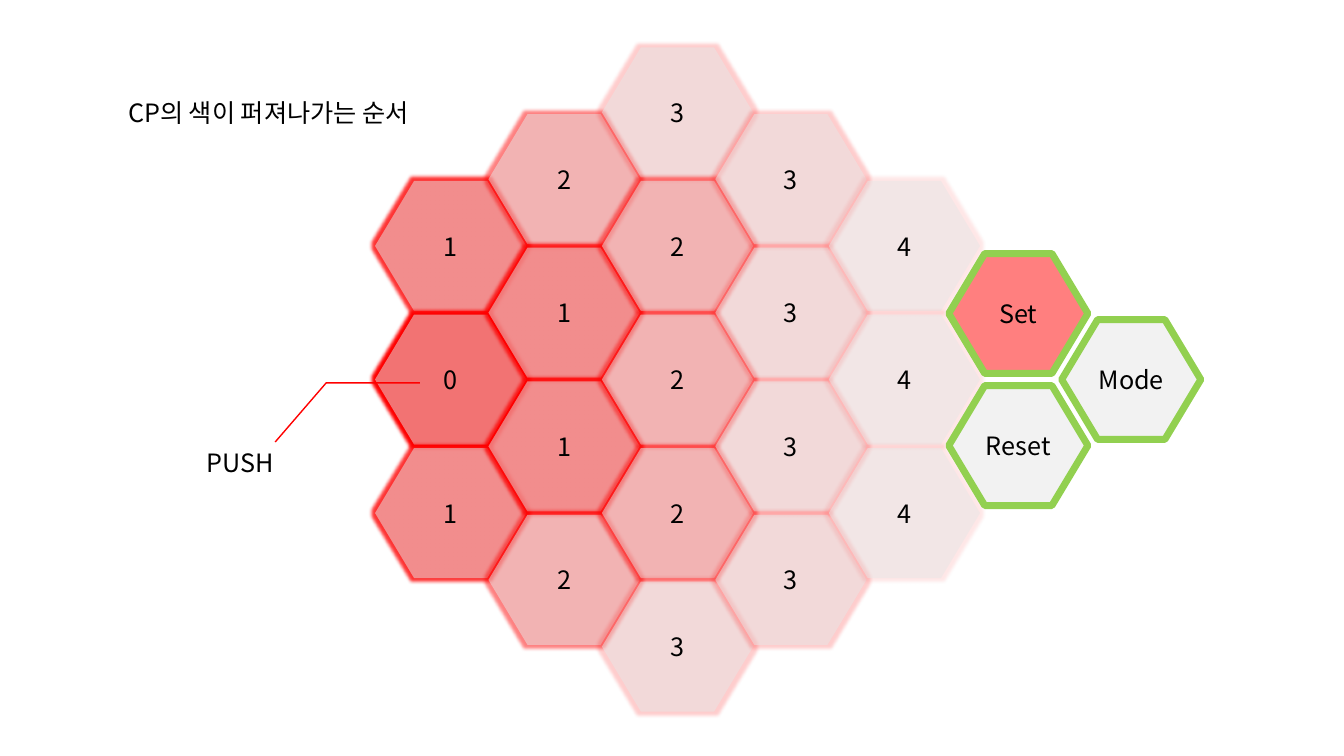
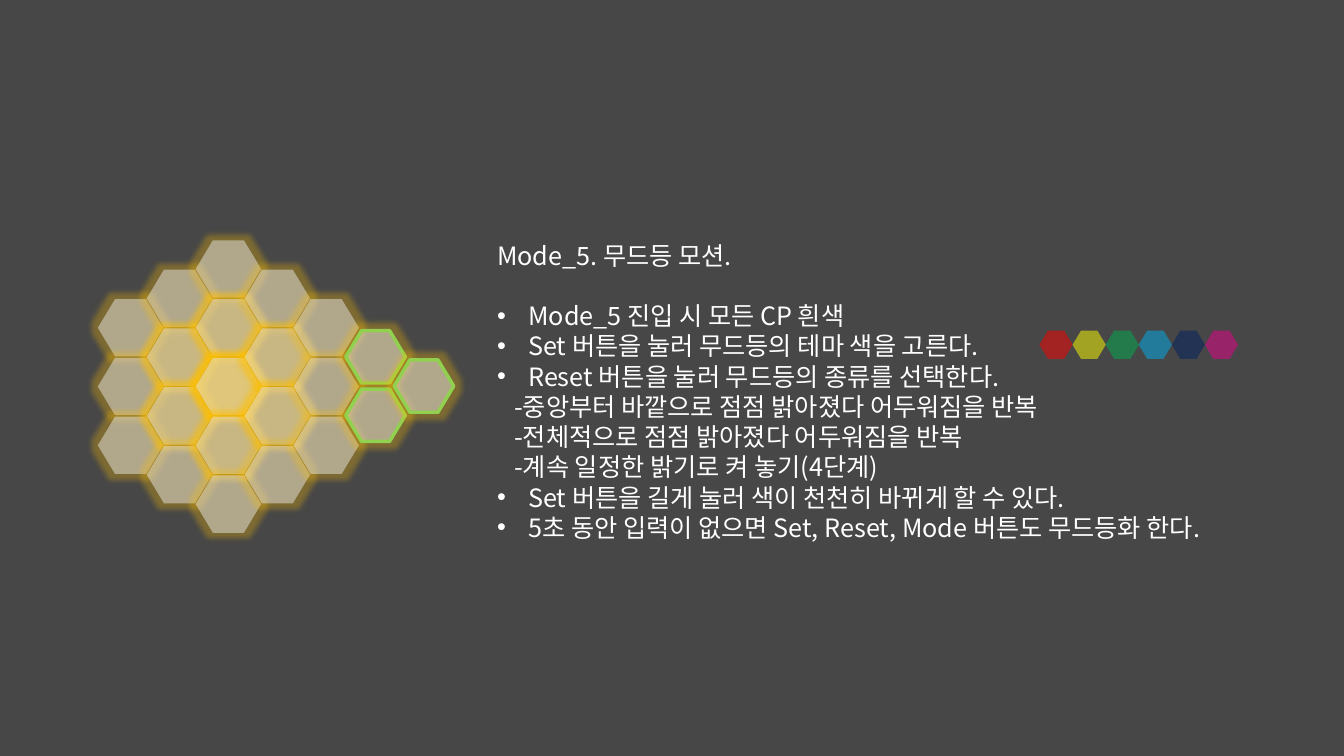
from dataclasses import dataclass
from typing import Optional, Union

import lxml.etree
import pptx
import pptx.dml.color
import pptx.enum.shapes
import pptx.enum.text
import pptx.oxml.ns
import pptx.shapes.autoshape
import pptx.shapes.shapetree
import pptx.slide
import pptx.text.text
import pptx.util

Inches = pptx.util.Inches
Pt = pptx.util.Pt
RGBColor = pptx.dml.color.RGBColor
Shapes = Union[pptx.shapes.shapetree.SlideShapes, pptx.shapes.shapetree.GroupShapes]
Shape = pptx.shapes.autoshape.Shape
Kind = pptx.enum.shapes.MSO_SHAPE
Align = pptx.enum.text.PP_ALIGN
Anchor = pptx.enum.text.MSO_ANCHOR
qn = pptx.oxml.ns.qn

FONT = "Noto Sans CJK KR"
TEXT_SIZE = Pt(18)
LINE_PITCH = Pt(21.6)
BLACK = RGBColor(0x00, 0x00, 0x00)
WHITE = RGBColor(0xFF, 0xFF, 0xFF)
CELL_GRAY = RGBColor(0xE7, 0xE6, 0xE6)
RED = RGBColor(0xFF, 0x00, 0x00)
AMBER = RGBColor(0xFF, 0xC0, 0x00)
BUTTON_GREEN = RGBColor(0x92, 0xD0, 0x50)
THEME_COLORS = (
    RED,
    RGBColor(0xFF, 0xFF, 0x00),
    RGBColor(0x00, 0xB0, 0x50),
    RGBColor(0x00, 0xB0, 0xF0),
    RGBColor(0x00, 0x20, 0x60),
    RGBColor(0xEC, 0x00, 0x8C),
)


@dataclass(frozen=True)
class Glow:
    color: RGBColor
    radius: float
    opacity: int


@dataclass(frozen=True)
class Cell:
    label: str = ""
    fill: RGBColor = CELL_GRAY
    glow: Optional[Glow] = None
    outline: float = 0


@dataclass(frozen=True)
class Comb:
    left: float
    middle_top: float
    width: float
    height: float
    column_step: float
    row_step: float


@dataclass(frozen=True)
class ListLine:
    text: str
    bulleted: bool = True


SPREAD_ORDER = ("101", "2112", "32223", "3333", "444")
SPREAD_OPACITY = {"0": 100, "1": 80, "2": 50, "3": 20, "4": 10}
MOOD_RINGS = ("222", "2112", "21012", "2112", "222")
MOOD_OPACITY = {"0": 80, "1": 55, "2": 30}

MOOD_STEPS = (
    ListLine("Mode_5 진입 시 모든 CP 흰색"),
    ListLine("Set 버튼을 눌러 무드등의 테마 색을 고른다."),
    ListLine("Reset 버튼을 눌러 무드등의 종류를 선택한다."),
    ListLine("-중앙부터 바깥으로 점점 밝아졌다 어두워짐을 반복", False),
    ListLine("-전체적으로 점점 밝아졌다 어두워짐을 반복", False),
    ListLine("-계속 일정한 밝기로 켜 놓기(4단계)", False),
    ListLine("Set 버튼을 길게 눌러 색이 천천히 바뀌게 할 수 있다."),
    ListLine("5초 동안 입력이 없으면 Set, Reset, Mode 버튼도 무드등화 한다."),
)


def add_opacity(color_element: lxml.etree._Element, percent: int) -> None:
    alpha = lxml.etree.SubElement(color_element, qn("a:alpha"))
    alpha.set("val", str(percent * 1000))


def style_paragraph(paragraph: pptx.text.text._Paragraph, color: RGBColor) -> None:
    for run in paragraph.runs:
        run.font.name = FONT
        run.font.size = TEXT_SIZE
        run.font.color.rgb = color
        east_asian = lxml.etree.Element(qn("a:ea"), typeface=FONT)
        run.font._element.find(qn("a:latin")).addnext(east_asian)


def set_label(shape: Shape, label: str) -> None:
    frame = shape.text_frame
    frame.text = label
    frame.word_wrap = False
    frame.vertical_anchor = Anchor.MIDDLE
    frame.margin_left = frame.margin_right = 0
    frame.margin_top = frame.margin_bottom = 0
    frame.paragraphs[0].alignment = Align.CENTER
    style_paragraph(frame.paragraphs[0], BLACK)


def fill_shape(shape: Shape, color: RGBColor, opacity: int) -> None:
    shape.shadow.inherit = False
    shape.fill.solid()
    shape.fill.fore_color.rgb = color
    add_opacity(shape.element.spPr.find(qn("a:solidFill"))[0], opacity)
    shape.line.fill.background()


def add_cell(shapes: Shapes, cell: Cell, left: float, top: float,
             width: float, height: float) -> None:
    hexagon = shapes.add_shape(Kind.HEXAGON, Inches(left), Inches(top),
                               Inches(width), Inches(height))
    hexagon.adjustments[0] = 0.3
    fill_shape(hexagon, cell.fill, 50)
    if cell.outline:
        hexagon.line.color.rgb = BUTTON_GREEN
        hexagon.line.width = Pt(cell.outline)
    if cell.glow:
        effects = hexagon.element.spPr.find(qn("a:effectLst"))
        glow = lxml.etree.SubElement(effects, qn("a:glow"))
        glow.set("rad", str(int(Pt(cell.glow.radius))))
        color = lxml.etree.SubElement(glow, qn("a:srgbClr"))
        color.set("val", str(cell.glow.color))
        add_opacity(color, cell.glow.opacity)
    if cell.label:
        set_label(hexagon, cell.label)


def add_comb(shapes: Shapes, comb: Comb, columns: list[list[Cell]]) -> None:
    for column, cells in enumerate(columns):
        left = comb.left + column * comb.column_step
        for row, cell in enumerate(cells):
            top = comb.middle_top + (row - (len(cells) - 1) / 2) * comb.row_step
            add_cell(shapes, cell, left, top, comb.width, comb.height)


def place_text(placeholder: Shape, left: float, top: float,
               width: float, height: float) -> None:
    placeholder.left, placeholder.top = Inches(left), Inches(top)
    placeholder.width, placeholder.height = Inches(width), Inches(height)
    frame = placeholder.text_frame
    frame.word_wrap = True
    frame.auto_size = pptx.enum.text.MSO_AUTO_SIZE.NONE
    frame.vertical_anchor = Anchor.TOP


def format_line(paragraph: pptx.text.text._Paragraph, color: RGBColor) -> None:
    paragraph.alignment = Align.LEFT
    paragraph.line_spacing = LINE_PITCH
    paragraph.space_before = paragraph.space_after = Pt(0)
    style_paragraph(paragraph, color)


def set_title(slide: pptx.slide.Slide, text: str, color: RGBColor,
              left: float, top: float, width: float) -> None:
    title = slide.shapes.title
    place_text(title, left, top, width, 0.4)
    title.text_frame.text = text
    format_line(title.text_frame.paragraphs[0], color)


def set_list(body: Shape, lines: tuple[ListLine, ...]) -> None:
    frame = body.text_frame
    frame.text = "\n".join(line.text for line in lines)
    for paragraph, line in zip(frame.paragraphs, lines):
        format_line(paragraph, WHITE)
        properties = paragraph._p.get_or_add_pPr()
        margin, indent = (0.31, -0.31) if line.bulleted else (0.17, 0)
        properties.set("marL", str(int(Inches(margin))))
        properties.set("indent", str(int(Inches(indent))))
        if line.bulleted:
            lxml.etree.SubElement(properties, qn("a:buFont")).set("typeface", "Arial")
            lxml.etree.SubElement(properties, qn("a:buChar")).set("char", "•")
        else:
            lxml.etree.SubElement(properties, qn("a:buNone"))


def build_spread_slide(deck: pptx.presentation.Presentation) -> None:
    slide = deck.slides.add_slide(deck.slide_layouts.get_by_name("Title Only"))
    set_title(slide, "CP의 색이 퍼져나가는 순서", BLACK, 1.17, 0.92, 3.5)
    panels = [[Cell(order, glow=Glow(RED, 5, SPREAD_OPACITY[order])) for order in column]
              for column in SPREAD_ORDER]
    add_comb(slide.shapes, Comb(3.72, 3.12, 1.5, 1.29, 1.125, 1.325), panels)
    buttons = [[Cell("Set", RED, outline=5), Cell("Reset", outline=5)],
               [Cell("Mode", outline=5)]]
    add_comb(slide.shapes, Comb(9.41, 3.17, 1.38, 1.19, 1.12, 1.31), buttons)

    push = slide.shapes.add_shape(Kind.LINE_CALLOUT_2_NO_BORDER, Inches(1.92),
                                  Inches(4.41), Inches(0.92), Inches(0.36))
    for index, value in enumerate((-0.07, 0.88, -1.7, 1.43, -1.7, 2.44)):
        push.adjustments[index] = value
    push.shadow.inherit = False
    push.fill.background()
    push.line.color.rgb = RED
    push.line.width = Pt(1)
    set_label(push, "PUSH")


def build_mood_slide(deck: pptx.presentation.Presentation) -> None:
    slide = deck.slides.add_slide(deck.slide_layouts.get_by_name("Title and Content"))
    backdrop = slide.shapes.add_shape(Kind.RECTANGLE, 0, 0,
                                      deck.slide_width, deck.slide_height)
    fill_shape(backdrop, BLACK, 72)
    slide.shapes.title.element.addprevious(backdrop.element)
    set_title(slide, "Mode_5. 무드등 모션.", WHITE, 4.83, 2.33, 7.76)
    steps = slide.placeholders[1]
    place_text(steps, 4.83, 2.93, 7.76, 2.53)
    set_list(steps, MOOD_STEPS)

    lamp = slide.shapes.add_group_shape().shapes
    panels = [[Cell(glow=Glow(AMBER, 8, MOOD_OPACITY[ring])) for ring in column]
              for column in MOOD_RINGS]
    add_comb(lamp, Comb(0.97, 3.55, 0.65, 0.57, 0.485, 0.583), panels)
    button = Cell(glow=Glow(AMBER, 8, MOOD_OPACITY["2"]), outline=2.5)
    add_comb(lamp, Comb(3.43, 3.57, 0.59, 0.52, 0.48, 0.58), [[button] * 2, [button]])

    palette = slide.shapes.add_group_shape().shapes
    swatches = [[Cell(fill=color)] for color in THEME_COLORS]
    add_comb(palette, Comb(10.31, 3.28, 0.33, 0.28, 0.328, 0), swatches)


def main() -> None:
    deck = pptx.Presentation()
    deck.slide_width, deck.slide_height = Inches(13.33), Inches(7.5)
    build_spread_slide(deck)
    build_mood_slide(deck)
    deck.save("out.pptx")


if __name__ == "__main__":
    main()
